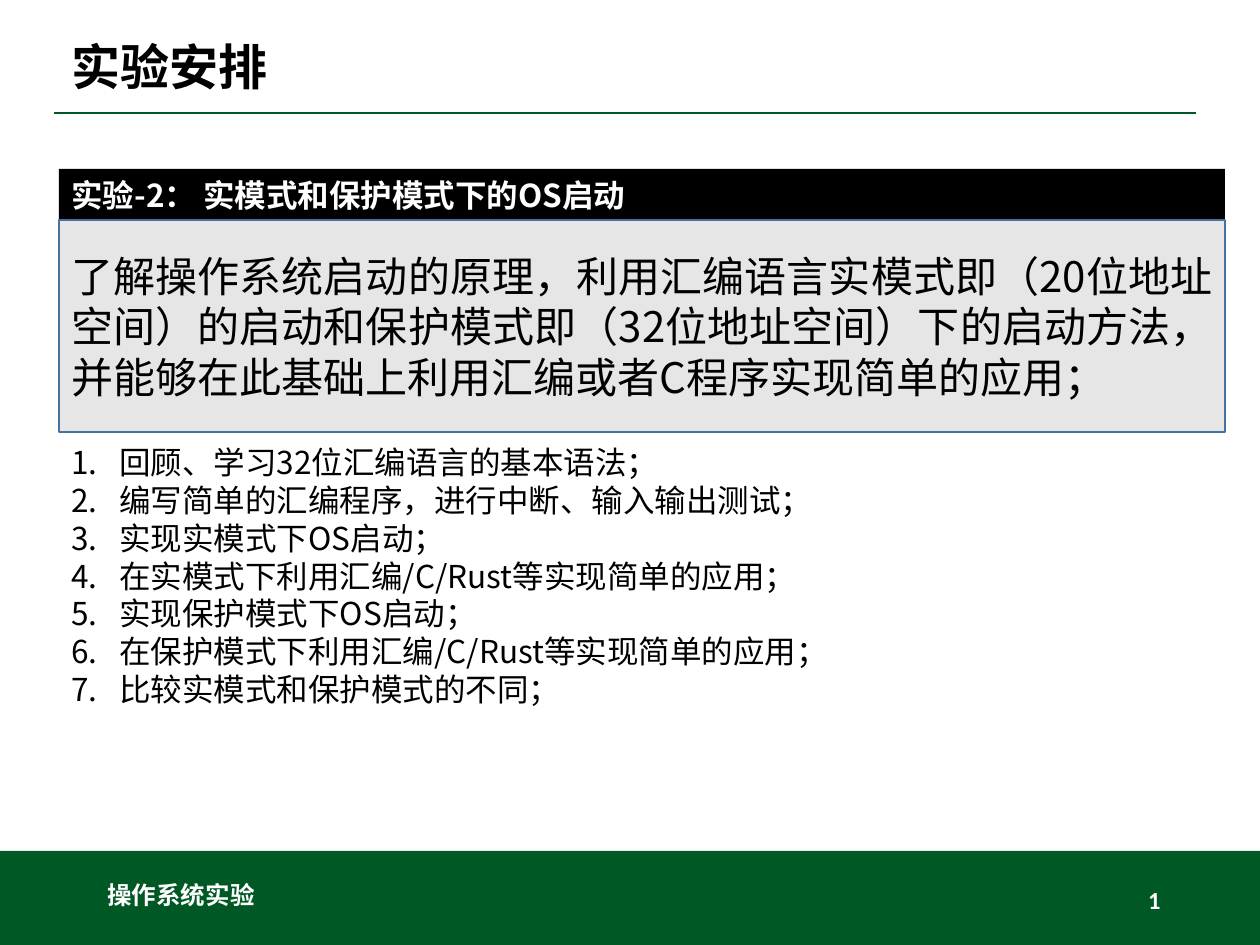
from dataclasses import dataclass

import lxml.etree
import pptx
import pptx.dml.color
import pptx.enum.shapes
import pptx.enum.text
import pptx.oxml.ns
import pptx.util

PX = 914400 / 126
ALIGN = pptx.enum.text.PP_ALIGN
ANCHOR = pptx.enum.text.MSO_ANCHOR
qn = pptx.oxml.ns.qn


@dataclass(frozen=True)
class Theme:
    green: str = "005825"
    black: str = "000000"
    white: str = "FFFFFF"
    panel: str = "E7E6E6"
    border: str = "43739E"
    cjk: str = "Noto Sans CJK SC"
    latin: str = "Calibri"
    title: int = 28
    summary: int = 24
    body: int = 18
    footer: int = 14


THEME = Theme()
TASKS = [
    "回顾、学习32位汇编语言的基本语法；",
    "编写简单的汇编程序，进行中断、输入输出测试；",
    "实现实模式下OS启动；",
    "在实模式下利用汇编/C/Rust等实现简单的应用；",
    "实现保护模式下OS启动；",
    "在保护模式下利用汇编/C/Rust等实现简单的应用；",
    "比较实模式和保护模式的不同；",
]


def emu(*lengths):
    return [pptx.util.Emu(round(length * PX)) for length in lengths]


def rgb(code):
    return pptx.dml.color.RGBColor.from_string(code)


def write(shape, text, size, color, bold=False, font=THEME.cjk,
          align=ALIGN.LEFT, anchor=ANCHOR.MIDDLE):
    frame = shape.text_frame
    frame.text = text
    frame.word_wrap = True
    frame.auto_size = pptx.enum.text.MSO_AUTO_SIZE.NONE
    frame.vertical_anchor = anchor
    for paragraph in frame.paragraphs:
        paragraph.alignment = align
        for run in paragraph.runs:
            run.font.size = pptx.util.Pt(size)
            run.font.bold = bold
            run.font.color.rgb = rgb(color)
            run.font.name = font
            east_asian = lxml.etree.SubElement(run.font._element, qn("a:ea"))
            east_asian.set("typeface", THEME.cjk)
    return frame


def add_block(slide, box, fill, border=None):
    block = slide.shapes.add_shape(
        pptx.enum.shapes.MSO_SHAPE.RECTANGLE, *emu(*box))
    block.shadow.inherit = False
    block.fill.solid()
    block.fill.fore_color.rgb = rgb(fill)
    if border:
        block.line.color.rgb = rgb(border)
        block.line.width = pptx.util.Pt(1)
    else:
        block.line.fill.background()
    return block


def make_slide_number(paragraph):
    """Turn the paragraph's only run into a slide number field."""
    field = paragraph.runs[0]._r
    field.tag = qn("a:fld")
    field.set("id", "{B6F15528-21DE-4FAA-801E-634DDDAF4B2B}")
    field.set("type", "slidenum")


def add_header(slide, box, title_text):
    left, top, width, height = box
    title = slide.shapes.title
    title.left, title.top, title.width, title.height = emu(
        left + 5, top, width, height - 2)
    frame = write(title, title_text, THEME.title, THEME.black, bold=True)
    frame.paragraphs[0].line_spacing = 0.9

    bottom = top + height
    rule = slide.shapes.add_connector(
        pptx.enum.shapes.MSO_CONNECTOR.STRAIGHT,
        *emu(left, bottom, left + width, bottom))
    rule.line.color.rgb = rgb(THEME.green)
    rule.line.width = pptx.util.Pt(1)
    lxml.etree.SubElement(rule._element.spPr, qn("a:effectLst"))


def add_footer(slide, box, course, number):
    left, top, width, height = box
    add_block(slide, box, THEME.green)
    style = dict(size=THEME.footer, color=THEME.white, bold=True,
                 font=THEME.latin)

    course_label = slide.shapes.add_textbox(
        *emu(left + 95, top + 24, 200, 40))
    write(course_label, course, **style)

    page_label = slide.shapes.add_textbox(
        *emu(left + width - 371, top + 24, 284, 50))
    frame = write(page_label, number, align=ALIGN.RIGHT, **style)
    make_slide_number(frame.paragraphs[0])


def add_experiment(slide, box, heading, summary):
    left, top, width, height = box
    heading_height = 51
    banner = add_block(slide, (left, top, width, heading_height), THEME.black)
    write(banner, heading, THEME.body, THEME.white, bold=True)

    panel = add_block(
        slide, (left, top + heading_height, width, height - heading_height),
        THEME.panel, THEME.border)
    write(panel, summary, THEME.summary, THEME.black, align=ALIGN.JUSTIFY)


def add_tasks(slide, box, tasks):
    task_list = slide.shapes.add_textbox(*emu(*box))
    frame = write(task_list, "\n".join(tasks), THEME.body, THEME.black,
                  anchor=ANCHOR.TOP)
    indent, = emu(48)
    for paragraph in frame.paragraphs:
        properties = paragraph._p.get_or_add_pPr()
        properties.set("marL", str(indent))
        properties.set("indent", str(-indent))
        bullet = lxml.etree.SubElement(properties, qn("a:buAutoNum"))
        bullet.set("type", "arabicPeriod")


def main():
    deck = pptx.Presentation()
    deck.slide_width, deck.slide_height = emu(1260, 945)
    slide = deck.slides.add_slide(deck.slide_layouts[5])
    add_footer(slide, (0, 851, 1260, 94), "操作系统实验", "2")
    add_header(slide, (54, 29, 1142, 84), "实验安排")
    add_experiment(
        slide, (59, 169, 1166, 263),
        "实验-2： 实模式和保护模式下的OS启动",
        "了解操作系统启动的原理，利用汇编语言实模式即（20位地址空间）的启动"
        "和保护模式即（32位地址空间）下的启动方法，并能够在此基础上利用汇编"
        "或者C程序实现简单的应用；")
    add_tasks(slide, (59, 437, 1166, 280), TASKS)
    deck.save("out.pptx")


if __name__ == "__main__":
    main()
